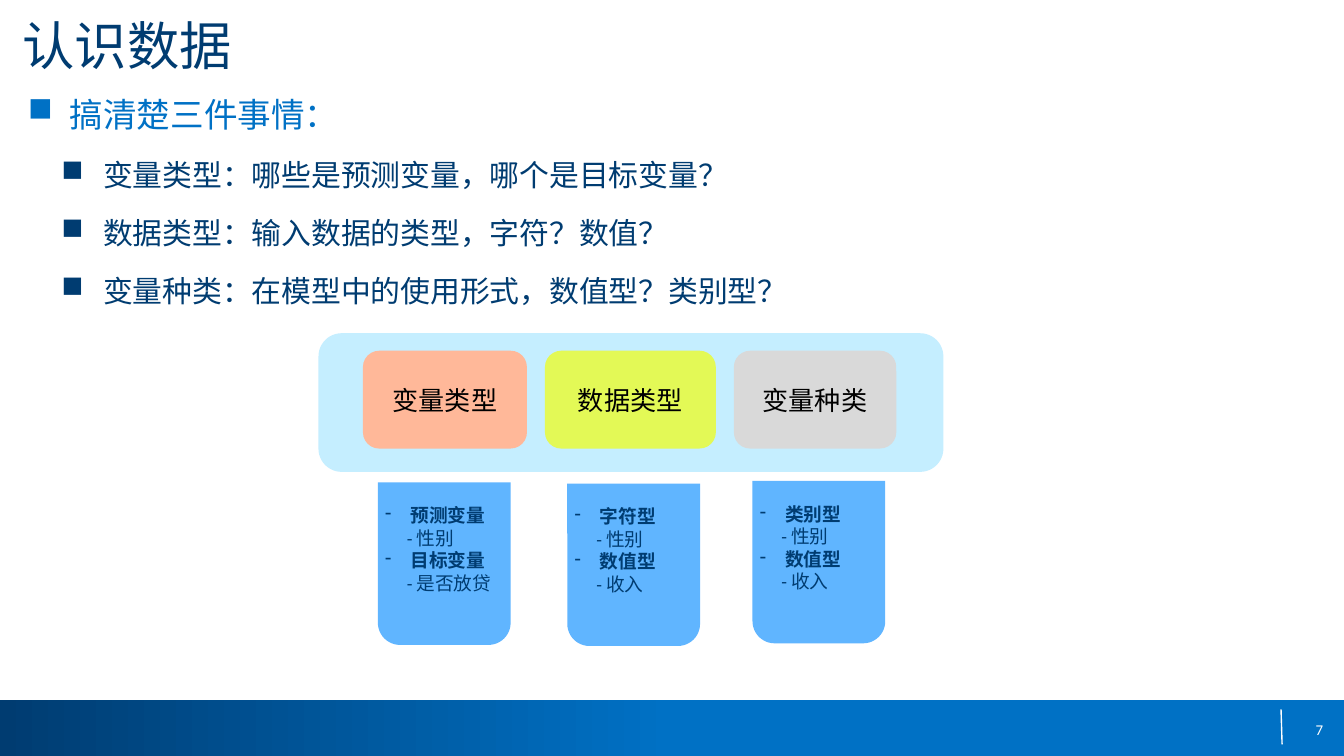
from lxml import etree
from pptx import Presentation
from pptx.dml.color import RGBColor
from pptx.enum.shapes import MSO_CONNECTOR, MSO_SHAPE
from pptx.enum.text import MSO_ANCHOR, MSO_AUTO_SIZE, PP_ALIGN
from pptx.oxml.ns import qn
from pptx.util import Cm, Pt

RECT, ROUNDED = MSO_SHAPE.RECTANGLE, MSO_SHAPE.ROUNDED_RECTANGLE
TAB_CARD = MSO_SHAPE.ROUND_2_SAME_RECTANGLE
STRAIGHT = MSO_CONNECTOR.STRAIGHT
TOP, MIDDLE = MSO_ANCHOR.TOP, MSO_ANCHOR.MIDDLE
LEFT, CENTER, RIGHT = PP_ALIGN.LEFT, PP_ALIGN.CENTER, PP_ALIGN.RIGHT
NO_AUTOFIT = MSO_AUTO_SIZE.NONE

FONT = "Calibri"
COLORS = {"navy": "003C71", "blue": "0071C5", "white": "FFFFFF", "black": "000000",
          "panel": "C5EEFF", "card": "60B5FF",
          "peach": "FFB899", "lime": "E3F956", "gray": "D9D9D9"}

TITLE = "认识数据"
LEAD = "搞清楚三件事情："
QUESTIONS = ["变量类型：哪些是预测变量，哪个是目标变量？",
             "数据类型：输入数据的类型，字符？数值？",
             "变量种类：在模型中的使用形式，数值型？类别型？"]
PAGE_NUMBER = "7"

TOPICS = [
    {"name": "变量类型", "color": "peach", "width": 3.1, "card_at": (7.14, 9.12),
     "kinds": [("预测变量", "性别"), ("目标变量", "是否放贷")]},
    {"name": "数据类型", "color": "lime", "width": 3.23, "card_at": (10.72, 9.14),
     "kinds": [("字符型", "性别"), ("数值型", "收入")]},
    {"name": "变量种类", "color": "gray", "width": 3.07, "card_at": (14.22, 9.09),
     "kinds": [("类别型", "性别"), ("数值型", "收入")]},
]
TOPIC_LEFT, TOPIC_TOP, TOPIC_HEIGHT, TOPIC_GAP = 6.86, 6.63, 1.85, 0.34
CARD_SIZE = (2.51, 3.07)
NOTE_OFFSET, NOTE_SIZE = (0.14, 0.41), (2.24, 2.26)


def rgb(name):
    return RGBColor.from_string(COLORS[name])


def add_block(slide, preset, left, top, width, height, color=None):
    block = slide.shapes.add_shape(preset, Cm(left), Cm(top), Cm(width), Cm(height))
    block.shadow.inherit = False
    block.line.fill.background()
    if color:
        block.fill.solid()
        block.fill.fore_color.rgb = rgb(color)
    return block


def add_frame(slide, left, top, width, height):
    frame = slide.shapes.add_textbox(Cm(left), Cm(top), Cm(width), Cm(height)).text_frame
    frame.word_wrap = True
    return frame


def clear_margins(frame):
    frame.margin_left = frame.margin_right = frame.margin_top = frame.margin_bottom = 0


def write(paragraph, text, size, color, bold=False, align=LEFT):
    paragraph.text = text
    paragraph.alignment = align
    font = paragraph.font
    font.name, font.size, font.bold = FONT, Pt(size), bold
    font.color.rgb = rgb(color)


def indent(paragraph, margin, hanging=0, bullet=None):
    properties = paragraph._p.get_or_add_pPr()
    properties.set("marL", str(Cm(margin)))
    properties.set("indent", str(-Cm(hanging)))
    if bullet:
        etree.SubElement(properties, qn("a:buChar")).set("char", bullet)


def fill_paragraphs(frame, count):
    return [frame.paragraphs[0]] + [frame.add_paragraph() for _ in range(count - 1)]


def add_footer(slide):
    band = add_block(slide, RECT, 0, 13.23, 25.4, 1.06)
    band.fill.gradient()
    band.fill.gradient_angle = 0
    for stop, (position, color) in zip(band.fill.gradient_stops, [(0, "navy"), (0.5, "blue")]):
        stop.position = position
        stop.color.rgb = rgb(color)
    divider = slide.shapes.add_connector(STRAIGHT, Cm(24.21), Cm(13.41), Cm(24.23), Cm(14.07))
    divider.line.color.rgb = rgb("white")
    divider.line.width = Pt(0.75)
    etree.SubElement(divider._element.spPr, qn("a:effectLst"))
    number = add_frame(slide, 19.1, 13.41, 5.91, 0.76)
    clear_margins(number)
    number.vertical_anchor = MIDDLE
    write(number.paragraphs[0], PAGE_NUMBER, 8, "white", align=RIGHT)


def add_title(slide):
    title = slide.shapes.title
    title.left, title.top, title.width, title.height = Cm(0.43), Cm(0.25), Cm(22.86), Cm(1.4)
    frame = title.text_frame
    clear_margins(frame)
    frame.auto_size = NO_AUTOFIT
    frame.vertical_anchor = TOP
    write(frame.paragraphs[0], TITLE, 28, "navy")


def add_questions(slide):
    frame = add_frame(slide, 0.28, 1.65, 22.86, 11.33)
    lead, *questions = fill_paragraphs(frame, 1 + len(QUESTIONS))
    indent(lead, 0.79, 0.79, "■")
    write(lead, LEAD, 18, "blue")
    for paragraph, question in zip(questions, QUESTIONS):
        paragraph.level = 1
        paragraph.space_before = Pt(12)
        indent(paragraph, 1.42, 0.79, "■")
        write(paragraph, question, 16, "navy")


def add_card(slide, topic):
    left, top = topic["card_at"]
    add_block(slide, TAB_CARD, left, top, *CARD_SIZE, "card").rotation = 180
    notes = add_frame(slide, left + NOTE_OFFSET[0], top + NOTE_OFFSET[1], *NOTE_SIZE)
    clear_margins(notes)
    paragraphs = fill_paragraphs(notes, 2 * len(topic["kinds"]))
    for kind, example, (name, sample) in zip(paragraphs[::2], paragraphs[1::2], topic["kinds"]):
        indent(kind, 0.48, 0.48, "-")
        write(kind, name, 10, "navy", bold=True)
        indent(example, 0.41)
        write(example, f"- {sample}", 10, "navy")


def add_topics(slide):
    left = TOPIC_LEFT
    for topic in TOPICS:
        heading = add_block(slide, ROUNDED, left, TOPIC_TOP, topic["width"], TOPIC_HEIGHT,
                            topic["color"])
        heading.text_frame.vertical_anchor = MIDDLE
        write(heading.text_frame.paragraphs[0], topic["name"], 14, "black", align=CENTER)
        left += topic["width"] + TOPIC_GAP
        add_card(slide, topic)


def main():
    """Build the slide on getting to know the data."""
    deck = Presentation()
    deck.slide_width, deck.slide_height = Cm(25.4), Cm(14.29)
    slide = deck.slides.add_slide(deck.slide_layouts[5])
    add_footer(slide)
    add_block(slide, ROUNDED, 6.02, 6.3, 11.81, 2.62, "panel")
    add_title(slide)
    add_questions(slide)
    add_topics(slide)
    deck.save("out.pptx")


if __name__ == "__main__":
    main()
